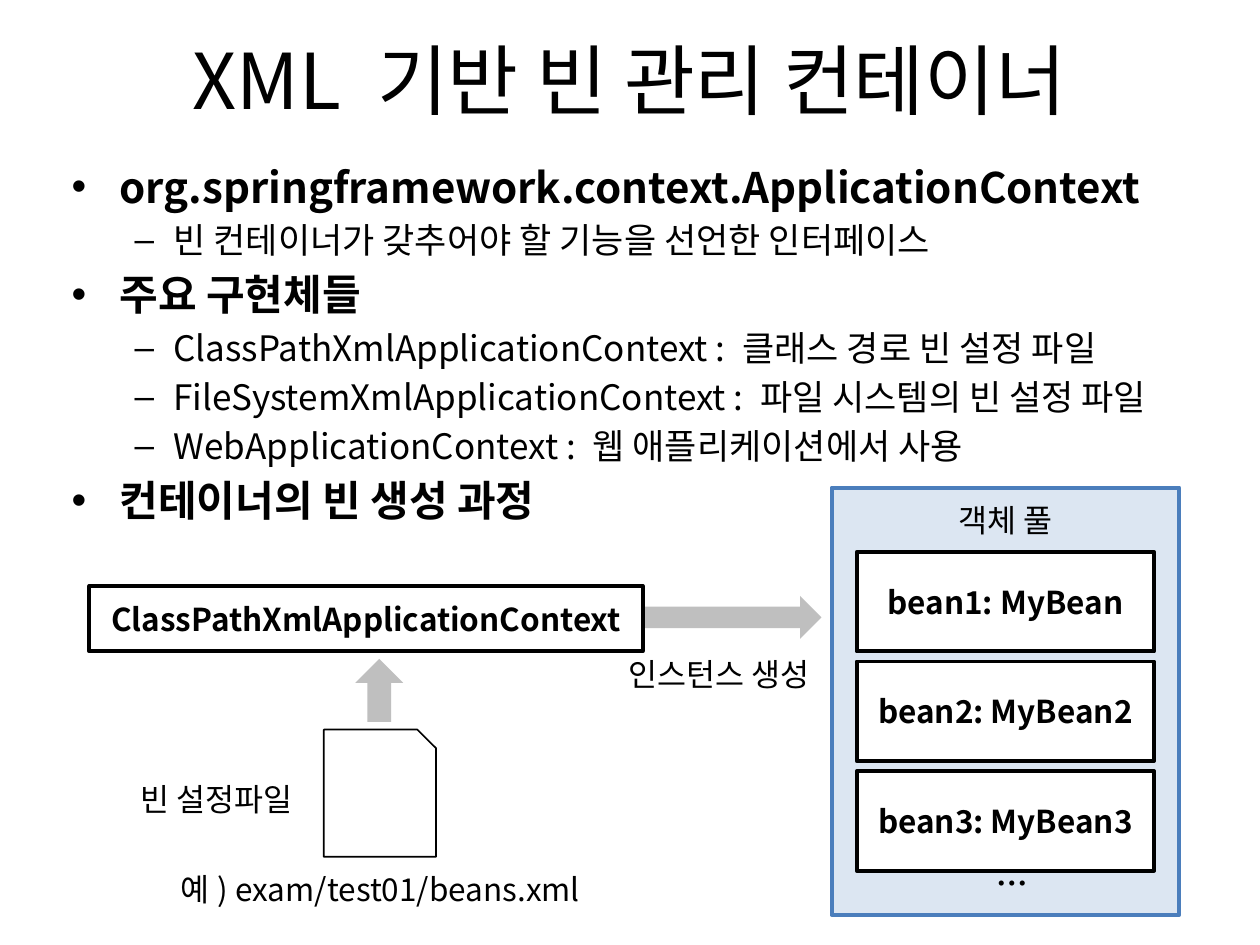
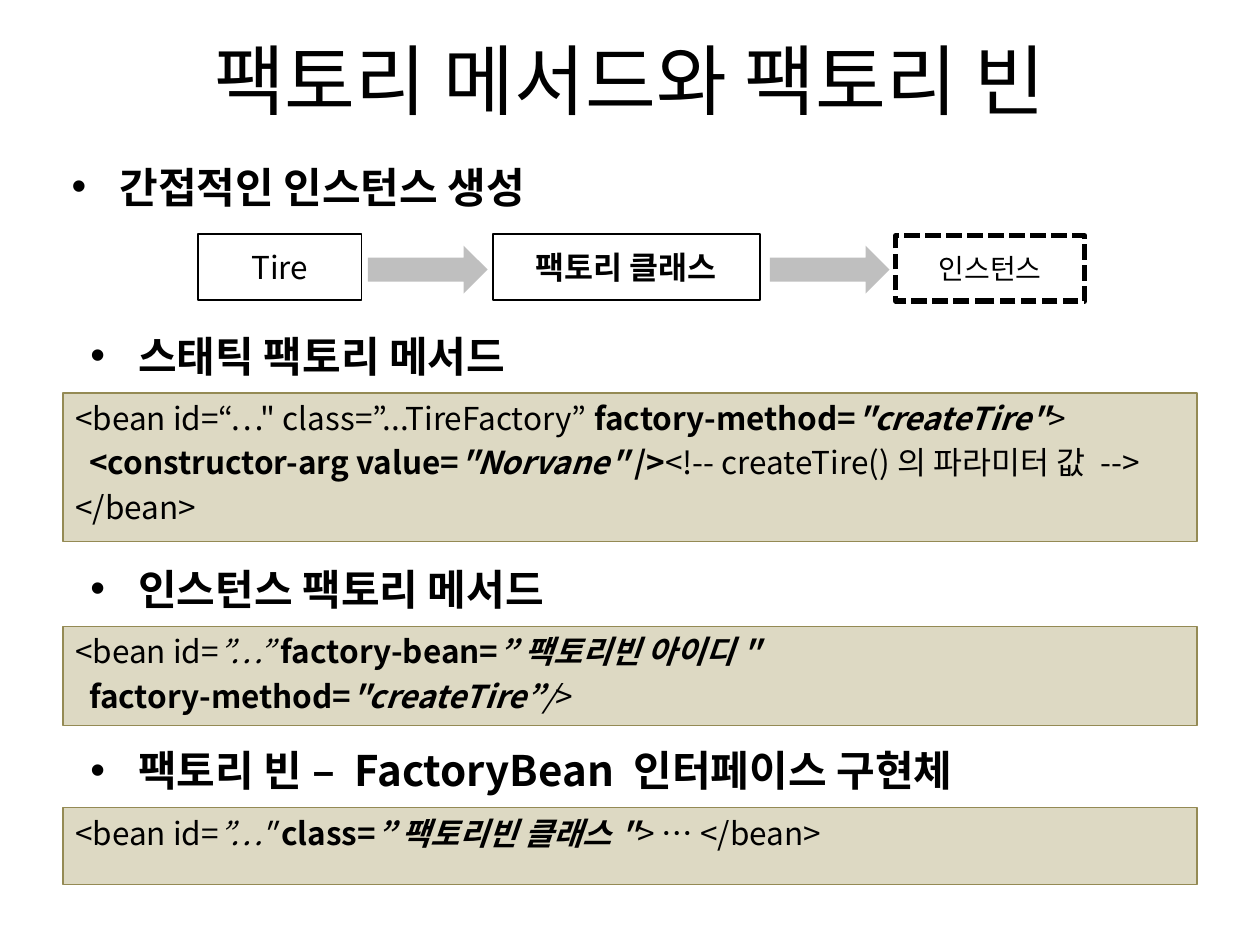
from dataclasses import dataclass

from lxml.etree import SubElement
from pptx import Presentation
from pptx.dml.color import RGBColor
from pptx.enum.dml import MSO_LINE
from pptx.enum.shapes import MSO_SHAPE
from pptx.enum.text import MSO_ANCHOR, MSO_AUTO_SIZE, PP_ALIGN
from pptx.oxml.ns import qn
from pptx.util import Inches, Pt


@dataclass(frozen=True)
class Theme:
    """Colours, font and type sizes shared by the slides."""

    font: str = "Noto Sans CJK KR"
    ink: str = "000000"
    paper: str = "FFFFFF"
    arrow: str = "BFBFBF"
    pool_fill: str = "DCE6F2"
    pool_line: str = "4B7EBC"
    code_fill: str = "DDD9C3"
    code_line: str = "948A54"
    title: int = 44
    heading: int = 24
    point: int = 20
    label: int = 18
    small: int = 16
    line_height: float = 1.2
    first_gap: float = 0.05
    gap: float = 0.2


@dataclass(frozen=True)
class Box:
    """A rectangle measured in inches."""

    left: float
    top: float
    width: float
    height: float

    def inner(self, left, top, width, height):
        """Return a box offset from this one."""
        return Box(self.left + left, self.top + top, width, height)

    def lengths(self):
        """Return left, top, width and height as slide lengths."""
        return [Inches(value) for value in (self.left, self.top, self.width, self.height)]


THEME = Theme()
BULLETS = (("•", 0.38, -0.38, THEME.heading), ("–", 0.81, -0.31, THEME.point))


def apply_format(target, values):
    """Set each named attribute on the target."""
    for name, value in values.items():
        setattr(target, name, value)


def add_run(paragraph, text, size, style=""):
    """Add a run; style holds b for bold and i for italic."""
    run = paragraph.add_run()
    run.text = text
    apply_format(run.font, {
        "name": THEME.font,
        "size": Pt(size),
        "bold": "b" in style,
        "italic": "i" in style,
    })
    run.font.color.rgb = RGBColor.from_string(THEME.ink)
    SubElement(run.font._element, qn("a:ea")).set("typeface", THEME.font)


def write_paragraph(frame, index, runs, size, align=PP_ALIGN.LEFT, gap=0):
    """Write (text, style) runs as the paragraph with the given index."""
    paragraph = frame.add_paragraph() if index else frame.paragraphs[0]
    apply_format(paragraph, {
        "alignment": align,
        "line_spacing": Pt(size * THEME.line_height),
        "space_before": Pt(size * gap),
    })
    for text, style in runs:
        add_run(paragraph, text, size, style)
    return paragraph


def paragraph_gap(index):
    """Return the gap before a paragraph, relative to its type size."""
    return THEME.gap if index else THEME.first_gap


def set_indent(paragraph, left, first=0, bullet=None):
    """Indent a paragraph and give it a bullet character."""
    properties = paragraph._p.get_or_add_pPr()
    properties.set("marL", str(Inches(left)))
    properties.set("indent", str(Inches(first)))
    if bullet:
        SubElement(properties, qn("a:buFont")).set("typeface", "Arial")
        SubElement(properties, qn("a:buChar")).set("char", bullet)


def add_title_slide(presentation, title):
    """Add a title-only slide with its title set."""
    slide = presentation.slides.add_slide(presentation.slide_layouts[5])
    shape = slide.shapes.title
    bounds = Box(0.5, 0, 9, 1.25).lengths()
    apply_format(shape, dict(zip(("left", "top", "width", "height"), bounds)))
    apply_format(shape.text_frame, {
        "vertical_anchor": MSO_ANCHOR.MIDDLE,
        "word_wrap": True,
        "auto_size": MSO_AUTO_SIZE.NONE,
    })
    write_paragraph(shape.text_frame, 0, [(title, "")], THEME.title, PP_ALIGN.CENTER)
    return slide


def add_panel(slide, box, kind=MSO_SHAPE.RECTANGLE, fill=None, line=None, weight=1.0, dash=None):
    """Add a preset shape with its fill and outline."""
    shape = slide.shapes.add_shape(kind, *box.lengths())
    shape.shadow.inherit = False
    if fill:
        shape.fill.solid()
        shape.fill.fore_color.rgb = RGBColor.from_string(fill)
    else:
        shape.fill.background()
    if line:
        shape.line.color.rgb = RGBColor.from_string(line)
        apply_format(shape.line, {"width": Pt(weight), "dash_style": dash})
    else:
        shape.line.fill.background()
    return shape


def add_labelled_box(slide, box, text, style="", size=THEME.label, **panel):
    """Add an outlined box with centred text."""
    frame = add_panel(slide, box, line=THEME.ink, **panel).text_frame
    apply_format(frame, {"vertical_anchor": MSO_ANCHOR.MIDDLE, "word_wrap": True})
    write_paragraph(frame, 0, [(text, style)], size, PP_ALIGN.CENTER)


def add_text_box(slide, box):
    """Add a wrapping text box and return its frame."""
    frame = slide.shapes.add_textbox(*box.lengths()).text_frame
    frame.word_wrap = True
    return frame


def add_label(slide, box, text, align=PP_ALIGN.CENTER, style=""):
    """Add a one-line label."""
    write_paragraph(add_text_box(slide, box), 0, [(text, style)], THEME.label, align)


def add_bullets(slide, box, items):
    """Add a bullet list of (level, text) items."""
    frame = add_text_box(slide, box)
    for index, (level, text) in enumerate(items):
        bullet, left, first, size = BULLETS[level]
        style = "" if level else "b"
        paragraph = write_paragraph(frame, index, [(text, style)], size, gap=paragraph_gap(index))
        paragraph.level = level
        set_indent(paragraph, left, first, bullet)


def add_object_pool(slide, box, beans):
    """Add the object pool panel with its stack of beans."""
    frame = add_panel(slide, box, fill=THEME.pool_fill, line=THEME.pool_line, weight=2.25).text_frame
    apply_format(frame, {
        "vertical_anchor": MSO_ANCHOR.TOP,
        "margin_top": Inches(0.11),
        "word_wrap": True,
    })
    write_paragraph(frame, 0, [("객체 풀", "")], THEME.label, PP_ALIGN.CENTER)
    for row, bean in enumerate(beans):
        bean_box = box.inner(0.2, 0.51 + row * 0.87, box.width - 0.4, 0.79)
        add_labelled_box(slide, bean_box, bean, "b", fill=THEME.paper, weight=2.25)
    add_label(slide, box.inner(0.77, 2.94, 1.33, 0.4), "…", style="b")


def add_container_flow(slide, box):
    """Add the container, its settings file and the arrows between them."""
    add_labelled_box(slide, box.inner(0, 0, 4.39, 0.52), "ClassPathXmlApplicationContext", "b", weight=2.25)
    add_panel(slide, box.inner(1.86, 1.14, 0.89, 1.01), MSO_SHAPE.SNIP_1_RECTANGLE, line=THEME.ink)
    add_panel(slide, box.inner(4.41, 0.08, 1.4, 0.34), MSO_SHAPE.RIGHT_ARROW, THEME.arrow)
    add_panel(slide, box.inner(2.11, 0.58, 0.38, 0.5), MSO_SHAPE.UP_ARROW, THEME.arrow)
    add_label(slide, box.inner(0.2, 1.49, 1.61, 0.4), "빈 설정파일")
    add_label(slide, box.inner(3.7, 0.5, 2.11, 0.4), "인스턴스 생성", PP_ALIGN.RIGHT)
    add_label(slide, box.inner(0.59, 2.21, 3.44, 0.4), "예) exam/test01/beans.xml")


def add_factory_flow(slide, box):
    """Add the three steps of indirect creation and their arrows."""
    add_labelled_box(slide, box.inner(0, 0, 1.3, 0.52), "Tire")
    add_labelled_box(slide, box.inner(2.34, 0, 2.12, 0.52), "팩토리 클래스", "b")
    add_labelled_box(slide, box.inner(5.54, 0.01, 1.5, 0.52), "인스턴스", size=THEME.small,
                     weight=3, dash=MSO_LINE.SQUARE_DOT)
    for left in (1.35, 4.54):
        add_panel(slide, box.inner(left, 0.09, 0.95, 0.38), MSO_SHAPE.RIGHT_ARROW, THEME.arrow)


def add_code_section(slide, box, heading, lines):
    """Add a bulleted heading above a code panel of (indent, runs) lines."""
    add_bullets(slide, box.inner(0.12, 0, box.width, 0.51), [(0, heading)])
    code_box = box.inner(0, 0.55, box.width, box.height - 0.55)
    frame = add_panel(slide, code_box, fill=THEME.code_fill, line=THEME.code_line, weight=0.75).text_frame
    apply_format(frame, {"vertical_anchor": MSO_ANCHOR.TOP, "word_wrap": True})
    for index, (indent, runs) in enumerate(lines):
        paragraph = write_paragraph(frame, index, runs, THEME.label, gap=paragraph_gap(index))
        set_indent(paragraph, indent)


def build_container_slide(presentation):
    """Build the slide on the XML bean container."""
    slide = add_title_slide(presentation, "XML 기반 빈 관리 컨테이너")
    add_bullets(slide, Box(0.47, 1.23, 9, 3.11), [
        (0, "org.springframework.context.ApplicationContext"),
        (1, "빈 컨테이너가 갖추어야 할 기능을 선언한 인터페이스"),
        (0, "주요 구현체들"),
        (1, "ClassPathXmlApplicationContext : 클래스 경로 빈 설정 파일"),
        (1, "FileSystemXmlApplicationContext : 파일 시스템의 빈 설정 파일"),
        (1, "WebApplicationContext : 웹 애플리케이션에서 사용"),
        (0, "컨테이너의 빈 생성 과정"),
    ])
    add_object_pool(slide, Box(6.6, 3.87, 2.76, 3.39),
                    ["bean1: MyBean", "bean2: MyBean2", "bean3: MyBean3"])
    add_container_flow(slide, Box(0.71, 4.65, 5.81, 2.61))


def build_factory_slide(presentation):
    """Build the slide on factory methods and factory beans."""
    slide = add_title_slide(presentation, "팩토리 메서드와 팩토리 빈")
    add_bullets(slide, Box(0.47, 1.23, 9, 0.55), [(0, "간접적인 인스턴스 생성")])
    add_factory_flow(slide, Box(1.57, 1.86, 7.04, 0.53))
    add_code_section(slide, Box(0.5, 2.57, 9, 1.73), "스태틱 팩토리 메서드", [
        (0, [("<bean id=“…\" class=”...TireFactory” ", ""), ("factory-method=", "b"),
             ("\"createTire\"", "bi"), (">", "")]),
        (0.11, [("<constructor-arg value=", "b"), ("\"Norvane\"", "bi"), (" />", "b"),
                ("<!-- createTire()의 파라미터 값 -->", "")]),
        (0, [("</bean>", "")]),
    ])
    add_code_section(slide, Box(0.5, 4.42, 9, 1.34), "인스턴스 팩토리 메서드", [
        (0, [("<bean id=", ""), ("”…” ", "i"), ("factory-bean=", "b"),
             ("”팩토리빈 아이디\"", "bi")]),
        (0.11, [("factory-method=", "b"), ("\"createTire”", "bi"), ("/", "i"), (">", "")]),
    ])
    add_code_section(slide, Box(0.5, 5.86, 9, 1.16), "팩토리 빈 – FactoryBean 인터페이스 구현체", [
        (0, [("<bean id=", ""), ("”…\" ", "i"), ("class=", "b"),
             ("”팩토리빈 클래스\"", "bi"), ("> … </bean>", "")]),
    ])


def main():
    """Build and save the presentation."""
    presentation = Presentation()
    apply_format(presentation, {"slide_width": Inches(10), "slide_height": Inches(7.5)})
    build_container_slide(presentation)
    build_factory_slide(presentation)
    presentation.save("out.pptx")


main()
